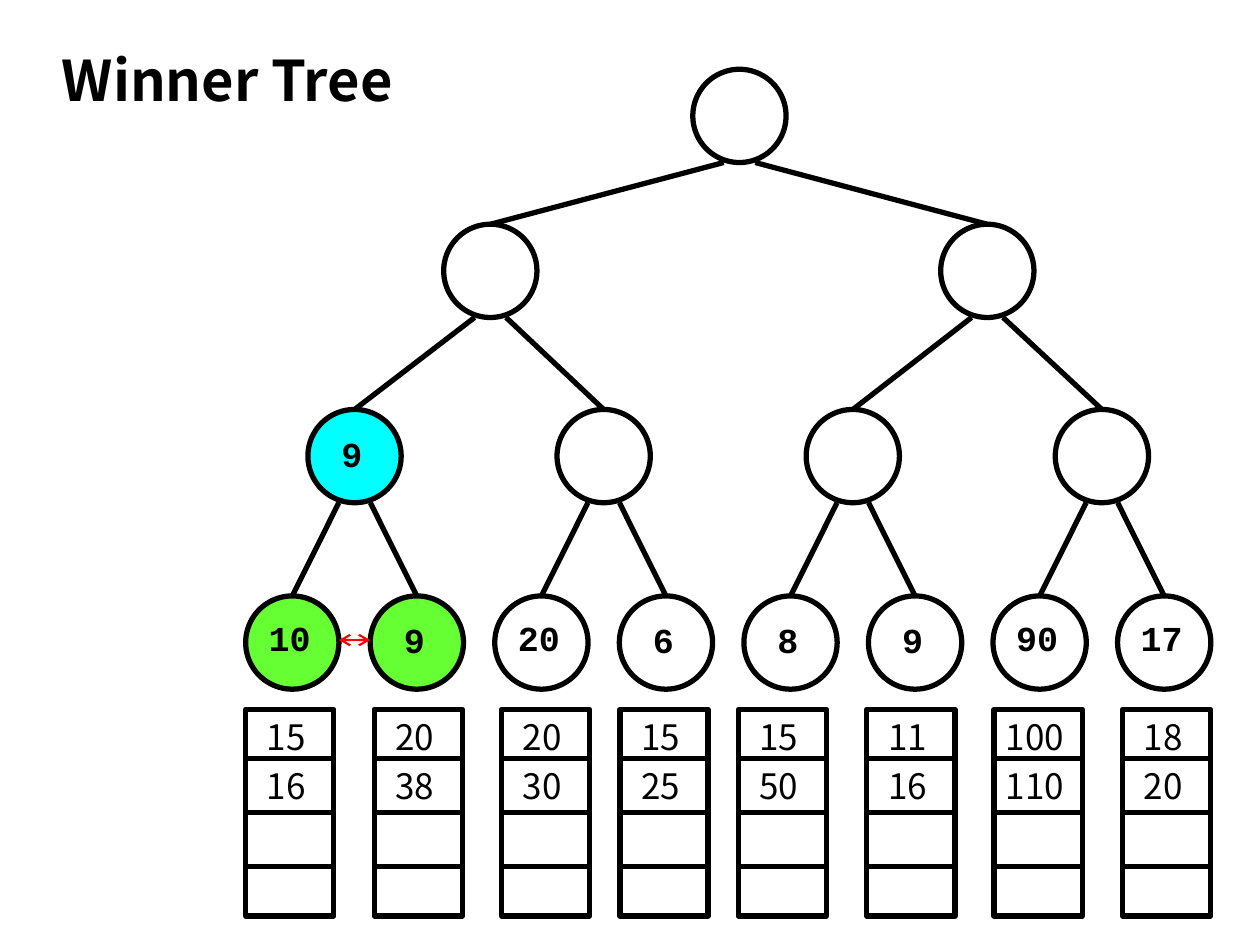
import pptx
import pptx.util
import pptx.dml.color
import pptx.enum.shapes
import pptx.enum.text
import pptx.oxml
import pptx.oxml.ns
from dataclasses import dataclass

TITLE = "Winner Tree"
ROOT, MIDDLE, UPPER, LEAF = 0.55, 1.78, 3.25, 4.73
LEVELS = [
    (ROOT, [(3.59, "")]),
    (MIDDLE, [(1.59, ""), (5.58, "")]),
    (UPPER, [(0.5, "9"), (2.5, ""), (4.5, ""), (6.5, "")]),
    (LEAF, list(enumerate(["10", "9", "20", "6", "8", "9", "90", "17"]))),
]
RUNS = [
    (1.95, ["15", "16"]),
    (2.97, ["20", "38"]),
    (3.98, ["20", "30"]),
    (4.92, ["15", "25"]),
    (5.86, ["15", "50"]),
    (6.88, ["11", "16"]),
    (7.89, ["100", "110"]),
    (8.91, ["18", "20"]),
]
TREE_LEFT, TREE_RIGHT, NODE = 1.95, 8.87, 0.74
STEP = (TREE_RIGHT - TREE_LEFT) / 7
FORK = 0.125
RUN_TOP, RUN_W, RUN_H = 5.63, 0.7, 1.64
DIVIDERS = [6.02, 6.45, 6.88]
TEXT_H = 0.44


@dataclass
class Theme:
    ink: str = "000000"
    winner: str = "00FFFF"
    compared: str = "66FF33"
    arrow: str = "FF0000"
    body: str = "Noto Sans CJK KR"
    mono: str = "Courier New"
    title_size: int = 32
    text_size: int = 20
    stroke: float = 3
    arrow_stroke: float = 1.25


theme = Theme()
FILLS = {
    (UPPER, 0): theme.winner,
    (LEAF, 0): theme.compared,
    (LEAF, 1): theme.compared,
}
inch = pptx.util.Inches
rgb = pptx.dml.color.RGBColor.from_string
SHAPE = pptx.enum.shapes.MSO_SHAPE
ALIGN = pptx.enum.text.PP_ALIGN


def style_text(tf, text, font, size, bold=False, align=ALIGN.LEFT):
    tf.text = text
    tf.word_wrap = True
    tf.auto_size = pptx.enum.text.MSO_AUTO_SIZE.NONE
    tf.vertical_anchor = pptx.enum.text.MSO_ANCHOR.TOP
    p = tf.paragraphs[0]
    p.alignment = align
    r = p.runs[0]
    r.font.name, r.font.size, r.font.bold = font, pptx.util.Pt(size), bold
    r.font.color.rgb = rgb(theme.ink)


def add_label(slide, text, cx, top, width, *style):
    box = slide.shapes.add_textbox(inch(cx - width / 2), inch(top), inch(width), inch(TEXT_H))
    style_text(box.text_frame, text, *style)


def add_outline(slide, kind, x, y, w, h, fill=None):
    sp = slide.shapes.add_shape(kind, inch(x), inch(y), inch(w), inch(h))
    sp.shadow.inherit = False
    sp.line.color.rgb = rgb(theme.ink)
    sp.line.width = pptx.util.Pt(theme.stroke)
    if fill:
        sp.fill.solid()
        sp.fill.fore_color.rgb = rgb(fill)
    else:
        sp.fill.background()
    return sp


def add_line(slide, x1, y1, x2, y2, color=theme.ink, width=theme.stroke):
    line = slide.shapes.add_connector(
        pptx.enum.shapes.MSO_CONNECTOR.STRAIGHT, inch(x1), inch(y1), inch(x2), inch(y2))
    line.line.color.rgb = rgb(color)
    line.line.width = pptx.util.Pt(width)
    pptx.oxml.ns.qn("a:effectLst")
    line._element.spPr.append(pptx.oxml.parse_xml(
        "<a:effectLst %s/>" % pptx.oxml.ns.nsdecls("a")))
    return line


def add_tree(slide):
    parents = []
    for top, nodes in LEVELS:
        centers = []
        for i, (column, value) in enumerate(nodes):
            left = TREE_LEFT + column * STEP
            cx = left + NODE / 2
            centers.append(cx)
            node = add_outline(slide, SHAPE.OVAL, left, top, NODE, NODE, FILLS.get((top, i)))
            if parents:
                side = FORK if i % 2 else -FORK
                edge = add_line(slide, cx, top, parents[i // 2] + side, parent_bottom)
                edge.begin_connect(node, 0)
            if value:
                wide = len(value) > 1
                add_label(slide, value, cx - 0.02, top + (0.11 if wide else 0.13),
                          0.7 if wide else 0.53, theme.mono, theme.text_size, True, ALIGN.CENTER)
        parents, parent_bottom = centers, top + NODE


def add_run(slide, left, values):
    rect = add_outline(slide, SHAPE.RECTANGLE, left, RUN_TOP, RUN_W, RUN_H)
    for i, y in enumerate(DIVIDERS):
        line = add_line(slide, left, y, left + RUN_W, y)
        if i == 1:
            line.begin_connect(rect, 1)
            line.end_connect(rect, 3)
    for value, top in zip(values, [RUN_TOP, DIVIDERS[0]]):
        width = 0.71 if len(value) > 2 else 0.56
        add_label(slide, value, left + RUN_W / 2, top, width, theme.body, theme.text_size)


def add_comparison(slide):
    line = add_line(slide, TREE_LEFT + NODE, 5.08, TREE_LEFT + STEP, 5.08,
                    theme.arrow, theme.arrow_stroke)
    for end in ("headEnd", "tailEnd"):
        line.line._get_or_add_ln().append(pptx.oxml.parse_xml(
            '<a:%s %s type="arrow"/>' % (end, pptx.oxml.ns.nsdecls("a"))))


def main():
    prs = pptx.Presentation()
    prs.slide_width, prs.slide_height = inch(10), inch(7.5)
    slide = prs.slides.add_slide(prs.slide_layouts[5])
    title = slide.shapes.title
    title.left, title.top, title.width, title.height = map(inch, (0.39, 0.31, 3.36, 0.64))
    style_text(title.text_frame, TITLE, theme.body, theme.title_size, True)
    add_tree(slide)
    for left, values in RUNS:
        add_run(slide, left, values)
    add_comparison(slide)
    prs.save("out.pptx")


if __name__ == "__main__":
    main()
